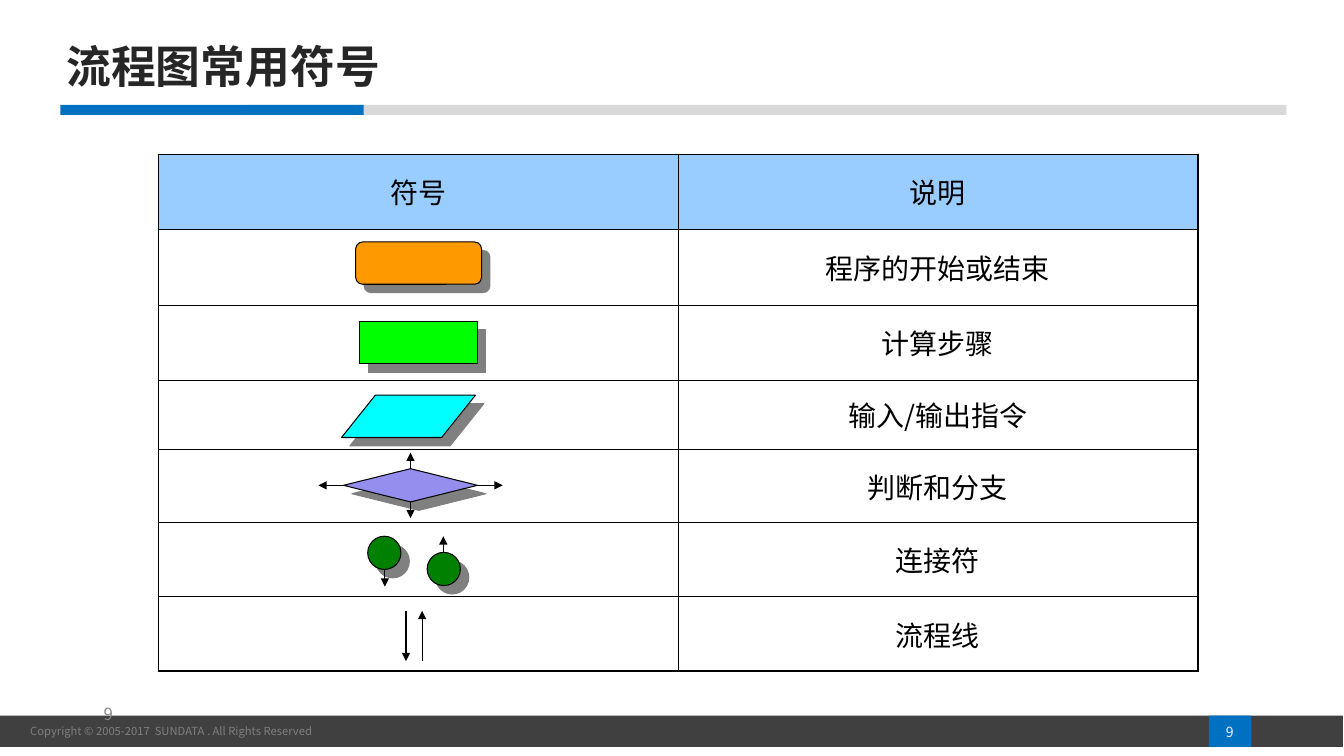
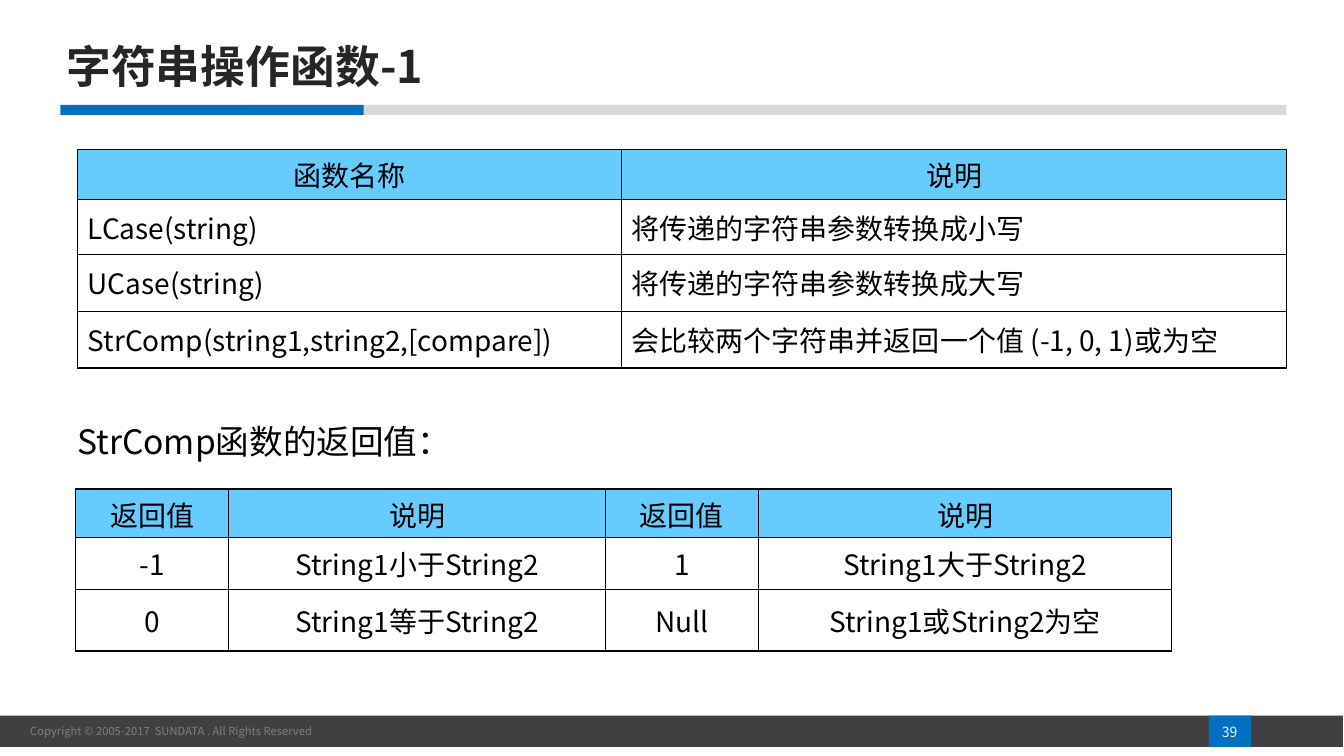
"""Build two slides: flowchart symbols and string functions."""
import lxml.etree
import pptx
import pptx.dml.color
import pptx.enum.shapes
import pptx.enum.text
import pptx.oxml.ns
import pptx.util

Inches = pptx.util.Inches
Pt = pptx.util.Pt
qn = pptx.oxml.ns.qn
SHAPE = pptx.enum.shapes.MSO_SHAPE
ALIGN = pptx.enum.text.PP_ALIGN
ANCHOR = pptx.enum.text.MSO_ANCHOR

FONT = "Noto Sans CJK SC"
COLORS = {
    "black": "000000",
    "title": "262626",
    "blue": "0070C0",
    "rule": "D9D9D9",
    "footer": "404040",
    "copyright": "7F7F7F",
    "page": "F2F2F2",
    "small_number": "898989",
    "symbol_header": "99CCFF",
    "function_header": "66CCFF",
    "shadow": "808080",
    "terminal": "FF9900",
    "process": "00FF00",
    "data": "00FFFF",
    "decision": "948FEF",
    "connector": "008000",
}


def rgb(color):
    return pptx.dml.color.RGBColor.from_string(COLORS[color])


def add_xml(parent, tag, **attributes):
    return lxml.etree.SubElement(parent, qn(tag), attributes)


def add_solid_fill(parent, color):
    add_xml(add_xml(parent, "a:solidFill"), "a:srgbClr", val=COLORS[color])


def write_text(frame, text, size, color, align=ALIGN.LEFT, bold=False, line_spacing=None):
    frame.word_wrap = True
    paragraph = frame.paragraphs[0]
    paragraph.alignment = align
    paragraph.line_spacing = line_spacing
    run = paragraph.add_run()
    run.text = text
    run.font.size = Pt(size)
    run.font.bold = bold
    run.font.color.rgb = rgb(color)
    run.font.name = FONT
    add_xml(run.font._element, "a:ea", typeface=FONT)


def add_text(slide, box, text, size, color, anchor=ANCHOR.MIDDLE, **style):
    shape = slide.shapes.add_textbox(*map(Inches, box))
    shape.text_frame.vertical_anchor = anchor
    write_text(shape.text_frame, text, size, color, **style)


def add_block(slide, kind, box, color):
    shape = slide.shapes.add_shape(kind, *map(Inches, box))
    shape.shadow.inherit = False
    shape.fill.solid()
    shape.fill.fore_color.rgb = rgb(color)
    shape.line.fill.background()
    return shape


def add_symbol(slide, kind, box, color, adjustment=None):
    shape = add_block(slide, kind, box, color)
    shape.line.color.rgb = rgb("black")
    shape.line.width = Pt(0.75)
    if adjustment is not None:
        shape.adjustments[0] = adjustment
    effects = shape._element.spPr.find(qn("a:effectLst"))
    shadow = add_xml(effects, "a:outerShdw", blurRad="0", dist=str(Pt(8.5)),
                     dir=str(45 * 60000), algn="ctr", rotWithShape="0")
    add_xml(shadow, "a:srgbClr", val=COLORS["shadow"])
    return shape


def add_arrow(slide, start, end):
    arrow = slide.shapes.add_connector(
        pptx.enum.shapes.MSO_CONNECTOR.STRAIGHT, *map(Inches, start + end))
    arrow.line.color.rgb = rgb("black")
    arrow.line.width = Pt(0.75)
    properties = arrow._element.spPr
    add_xml(properties.find(qn("a:ln")), "a:tailEnd", type="triangle")
    add_xml(properties, "a:effectLst")
    return arrow


def set_borders(cell, outer_sides):
    properties = cell._tc.get_or_add_tcPr()
    for side in "LRTB":
        width = Pt(1.08 if side in outer_sides else 0.45)
        add_solid_fill(add_xml(properties, f"a:ln{side}", w=str(width)), "black")


def add_grid(slide, left, top, widths, heights, rows, header_color, body_align=ALIGN.CENTER):
    frame = slide.shapes.add_table(
        len(rows), len(widths), Inches(left), Inches(top),
        Inches(sum(widths)), Inches(sum(heights)))
    table = frame.table
    table.first_row = table.horz_banding = False
    for column, width in zip(table.columns, widths):
        column.width = Inches(width)
    for row, height in zip(table.rows, heights):
        row.height = Inches(height)
    last_row, last_column = len(rows) - 1, len(widths) - 1
    for i, texts in enumerate(rows):
        for j, text in enumerate(texts):
            cell = table.cell(i, j)
            cell.vertical_anchor = ANCHOR.MIDDLE
            edges = {"L": j == 0, "R": j == last_column, "T": i == 0, "B": i == last_row}
            set_borders(cell, [side for side, outer in edges.items() if outer])
            if i == 0:
                cell.fill.solid()
                cell.fill.fore_color.rgb = rgb(header_color)
            else:
                cell.fill.background()
            if text:
                align = body_align if i else ALIGN.CENTER
                write_text(cell.text_frame, text, 20, "black", align)


def add_base_slide(presentation, title, number):
    slide = presentation.slides.add_slide(presentation.slide_layouts[6])
    footer = add_block(slide, SHAPE.RECTANGLE, (0, 7.1, 13.33, 0.31), "footer")
    footer.text_frame.margin_left = Inches(0.3)
    footer.text_frame.vertical_anchor = ANCHOR.MIDDLE
    write_text(footer.text_frame, "Copyright © 2005-2017  SUNDATA . All Rights Reserved",
               8, "copyright")
    add_block(slide, SHAPE.RECTANGLE, (12, 7.1, 0.42, 0.31), "blue")
    add_text(slide, (11.79, 7.16, 0.83, 0.21), number, 10, "page", align=ALIGN.CENTER)
    add_block(slide, SHAPE.RECTANGLE, (2.46, 1.04, 10.31, 0.1), "rule")
    add_block(slide, SHAPE.RECTANGLE, (0.6, 1.04, 3.01, 0.1), "blue")
    add_text(slide, (0.56, 0.16, 7.04, 1.05), title, 32, "title", bold=True, line_spacing=0.9)
    return slide


def add_decision(slide):
    left, top, width, height = 3.41, 4.65, 1.33, 0.33
    diamond = add_symbol(slide, SHAPE.DIAMOND, (left, top, width, height), "decision")
    middle_x, middle_y = left + width / 2, top + height / 2
    exits = [
        ((middle_x, top), (0, -0.16)),
        ((left, middle_y), (-0.25, 0)),
        ((middle_x, top + height), (0, 0.16)),
        ((left + width, middle_y), (0.25, 0)),
    ]
    for site, ((x, y), (run, rise)) in enumerate(exits):
        add_arrow(slide, (x, y), (x + run, y + rise)).begin_connect(diamond, site)


def build_symbols(presentation):
    slide = add_base_slide(presentation, "流程图常用符号", "9")
    add_text(slide, (0.93, 6.82, 1.42, 0.52), "9", 12, "small_number")
    descriptions = ["程序的开始或结束", "计算步骤", "输入/输出指令", "判断和分支", "连接符", "流程线"]
    add_grid(slide, 1.57, 1.53, [5.16, 5.16], [0.74, 0.76, 0.74, 0.69, 0.72, 0.74, 0.74],
             [("符号", "说明")] + [("", text) for text in descriptions], "symbol_header")
    add_symbol(slide, SHAPE.ROUNDED_RECTANGLE, (3.53, 2.4, 1.25, 0.42), "terminal", 0.167)
    add_symbol(slide, SHAPE.RECTANGLE, (3.57, 3.19, 1.17, 0.42), "process")
    add_symbol(slide, SHAPE.PARALLELOGRAM, (3.39, 3.92, 1.33, 0.42), "data", 0.8)
    add_decision(slide)
    for left, top in [(3.65, 5.32), (4.24, 5.48)]:
        add_symbol(slide, SHAPE.OVAL, (left, top, 0.33, 0.33), "connector")
    for x, start, end in [(3.82, 5.65, 5.82), (4.4, 5.48, 5.32),
                          (4.03, 6.06, 6.56), (4.19, 6.56, 6.06)]:
        add_arrow(slide, (x, start), (x, end))


def build_functions(presentation):
    slide = add_base_slide(presentation, "字符串操作函数-1", "39")
    add_text(slide, (0.67, 4.17, 4.44, 0.58), "StrComp函数的返回值：", 24, "black",
             anchor=ANCHOR.TOP, line_spacing=0.9)
    functions = [
        ("函数名称", "说明"),
        ("LCase(string)", "将传递的字符串参数转换成小写"),
        ("UCase(string)", "将传递的字符串参数转换成大写"),
        ("StrComp(string1,string2,[compare])", "会比较两个字符串并返回一个值 (-1, 0, 1)或为空"),
    ]
    add_grid(slide, 0.77, 1.48, [5.4, 6.6], [0.5, 0.54, 0.57, 0.56], functions,
             "function_header", ALIGN.LEFT)
    results = [
        ("返回值", "说明") * 2,
        ("-1", "String1小于String2", "1", "String1大于String2"),
        ("0", "String1等于String2", "Null", "String1或String2为空"),
    ]
    add_grid(slide, 0.75, 4.85, [1.52, 3.74, 1.52, 4.1], [0.48, 0.52, 0.61], results,
             "function_header")


def main():
    presentation = pptx.Presentation()
    presentation.slide_width = Inches(13.34)
    presentation.slide_height = Inches(7.5)
    build_symbols(presentation)
    build_functions(presentation)
    presentation.save("out.pptx")


if __name__ == "__main__":
    main()
